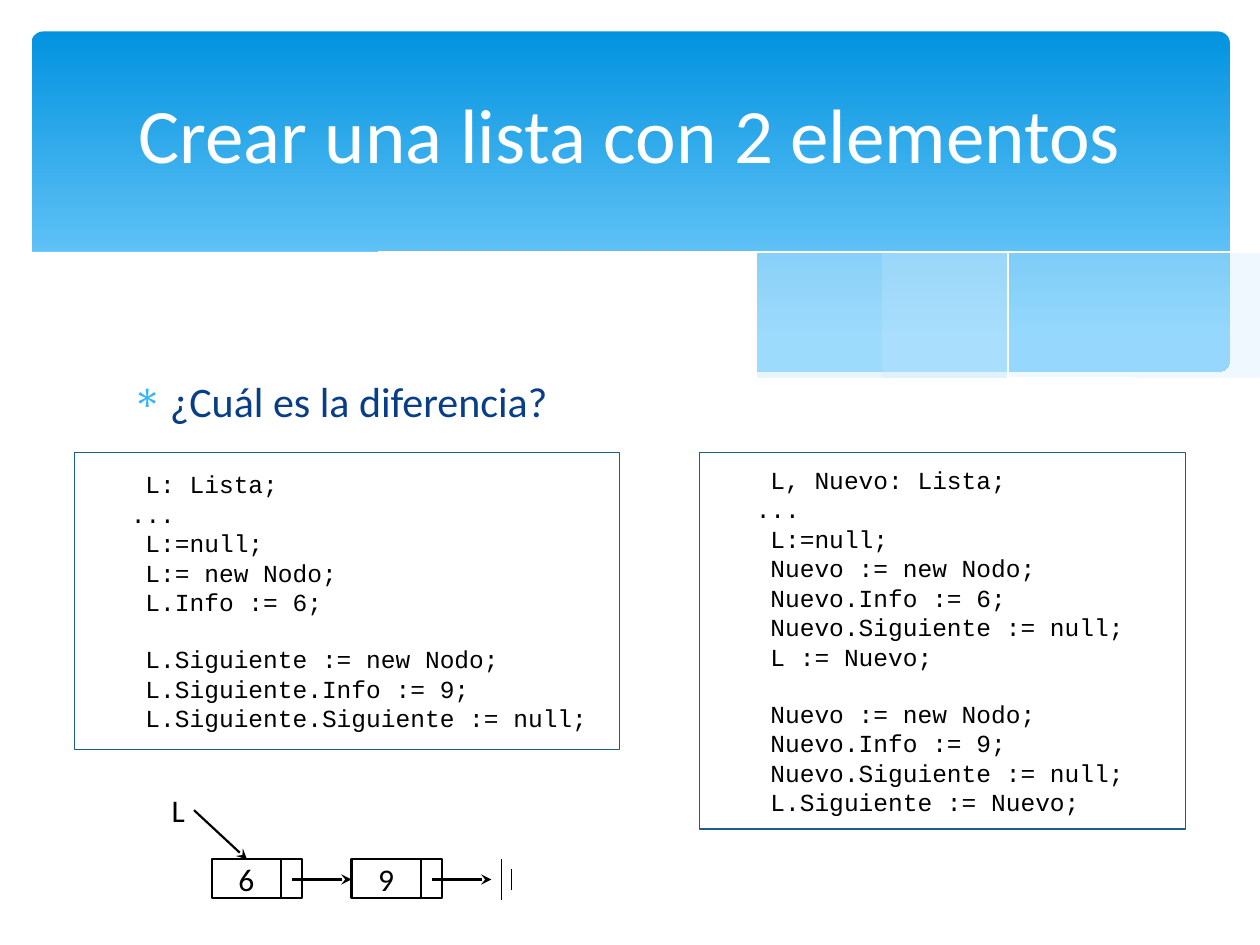
from lxml.etree import SubElement
from pptx import Presentation
from pptx.dml.color import RGBColor
from pptx.enum.shapes import MSO_CONNECTOR, MSO_SHAPE
from pptx.enum.text import MSO_ANCHOR, PP_ALIGN
from pptx.oxml.ns import qn
from pptx.util import Inches, Pt

COLORS = {
    "white": "FFFFFF", "black": "000000", "frame": "1A5F84",
    "sky_top": "0293E0", "sky_bottom": "83D3FE", "wave": "C6E7FC",
    "bullet": "31B6FD", "body": "073E87",
}
BODY_FONT, CODE_FONT = "Calibri", "Courier New"
CODE_SIZE, CODE_LINE = 14, 15.9          # points
CODE_CHAR = CODE_SIZE * 0.6 / 72         # width of one character, inches

# Wave outlines: the curved edges, in inches
RIGHT_WAVE_TOP = [(9.76, 2), (9.35, 2.07), (8.91, 2.16), (8.32, 2.3),
                  (7.79, 2.42), (7.29, 2.53), (6.61, 2.65)]
RIGHT_WAVE_BOTTOM = [(6.61, 2.65), (7.05, 2.71), (7.57, 2.76), (8.03, 2.78),
                     (8.54, 2.76), (8.97, 2.7), (9.35, 2.62), (9.76, 2.47)]
LONG_WAVE_TOP = [(8.93, 2.73), (8.37, 2.65), (7.75, 2.54), (7.06, 2.4),
                 (6.29, 2.22), (5.69, 2.08), (5.14, 1.98), (4.65, 1.91),
                 (4.2, 1.87), (3.8, 1.85), (3.28, 1.87), (2.86, 1.91)]
LONG_WAVE_BOTTOM = [(2.86, 1.91), (3.42, 1.99), (4.04, 2.11), (4.91, 2.32),
                    (5.66, 2.48), (6.34, 2.61), (6.95, 2.7), (7.48, 2.76),
                    (8.07, 2.78), (8.57, 2.77), (8.93, 2.73)]
FALLING_LINE = [(3.09, 1.95), (3.44, 1.9), (4.01, 1.87), (4.69, 1.89),
                (5.33, 1.94), (6.08, 2.04), (6.95, 2.19), (7.95, 2.41),
                (9.07, 2.72)]
RISING_LINE = [(6.13, 2.57), (6.72, 2.41), (7.48, 2.23), (8.36, 2.04),
               (8.95, 1.94), (9.38, 1.88), (9.75, 1.85)]
FRONT_WAVE = [(0.23, 2.13), (0.52, 2.01), (0.95, 1.91), (1.46, 1.85),
              (1.93, 1.84), (2.5, 1.86), (3.16, 1.94), (3.91, 2.07),
              (4.47, 2.2), (5.29, 2.39), (6.03, 2.54), (6.68, 2.65),
              (7.26, 2.72), (7.78, 2.76), (8.23, 2.77), (8.75, 2.73),
              (9.2, 2.65), (9.5, 2.56), (9.77, 2.46)]

# Code lines as (indent in characters, blank lines before, text)
DIRECT_CODE = [
    (4, 0, "L: Lista;"), (3, 0, "..."), (4, 0, "L:=null;"),
    (4, 0, "L:= new Nodo;"), (4, 0, "L.Info := 6;"),
    (4, 1, "L.Siguiente := new Nodo;"), (4, 0, "L.Siguiente.Info := 9;"),
    (4, 0, "L.Siguiente.Siguiente := null;"),
]
HELPER_CODE = [
    (4, 0, "L, Nuevo: Lista;"), (3, 0, "..."), (4, 0, "L:=null;"),
    (4, 0, "Nuevo := new Nodo;"), (4, 0, "Nuevo.Info := 6;"),
    (4, 0, "Nuevo.Siguiente := null;"), (4, 0, "L := Nuevo;"),
    (4, 1, "Nuevo := new Nodo;"), (4, 0, "Nuevo.Info := 9;"),
    (4, 0, "Nuevo.Siguiente := null;"), (4, 0, "L.Siguiente := Nuevo;"),
]


def color(name):
    return RGBColor.from_string(COLORS[name])


def smooth(points, steps=6):
    """Catmull-Rom curve through the points."""
    padded = [points[0], *points, points[-1]]
    curve = [points[0]]
    for a, b, c, d in zip(padded, padded[1:], padded[2:], padded[3:]):
        for step in range(1, steps + 1):
            t = step / steps
            curve.append(tuple(
                (2 * q + (r - p) * t + (2 * p - 5 * q + 4 * r - s) * t ** 2
                 + (3 * q - p - 3 * r + s) * t ** 3) / 2
                for p, q, r, s in zip(a, b, c, d)))
    return curve


def add_span(para, text, size, color_name, font=BODY_FONT):
    span = para.add_run()
    span.text = text
    span.font.size = Pt(size)
    span.font.name = font
    span.font.color.rgb = color(color_name)


def add_outline(page, points, fill=None, opacity=100, line=None):
    builder = page.shapes.build_freeform(*points[0], scale=Inches(1))
    builder.add_line_segments(points[1:], close=fill is not None)
    shape = builder.convert_to_shape()
    shape.shadow.inherit = False
    if fill:
        shape.fill.solid()
        shape.fill.fore_color.rgb = color(fill)
        tint = shape._element.spPr.find(qn("a:solidFill"))[0]
        SubElement(tint, qn("a:alpha"), val=str(opacity * 1000))
    else:
        shape.fill.background()
    if line:
        shape.line.color.rgb = color(line)
        shape.line.width = Pt(0)
    else:
        shape.line.fill.background()


def add_frame(page, left, top, width, height, line, weight):
    box = page.shapes.add_shape(MSO_SHAPE.RECTANGLE, Inches(left), Inches(top),
                                Inches(width), Inches(height))
    box.shadow.inherit = False
    box.fill.background()
    box.line.color.rgb = color(line)
    box.line.width = Pt(weight)
    box.text_frame.vertical_anchor = MSO_ANCHOR.MIDDLE
    return box


def add_code(page, left, top, width, height, lines):
    frame = add_frame(page, left, top, width, height, "frame", 0.75).text_frame
    for number, (indent, blanks, text) in enumerate(lines):
        para = frame.add_paragraph() if number else frame.paragraphs[0]
        para.alignment = PP_ALIGN.LEFT
        para.space_before = Pt(blanks * CODE_LINE)
        para._p.get_or_add_pPr().set("marL", str(Inches(indent * CODE_CHAR)))
        add_span(para, text, CODE_SIZE, "black", CODE_FONT)


def add_label(frame, text):
    frame.vertical_anchor = MSO_ANCHOR.MIDDLE
    frame.paragraphs[0].alignment = PP_ALIGN.CENTER
    add_span(frame.paragraphs[0], text, 18, "black")


def add_line(page, x1, y1, x2, y2, weight=1.25, arrow=True):
    line = page.shapes.add_connector(MSO_CONNECTOR.STRAIGHT, Inches(x1),
                                     Inches(y1), Inches(x2), Inches(y2))
    line.line.color.rgb = color("black")
    line.line.width = Pt(weight)
    if arrow:
        SubElement(line.line._get_or_add_ln(), qn("a:tailEnd"), type="stealth")
    SubElement(line._element.spPr, qn("a:effectLst"))


def add_node(page, left, value):
    """A list cell: value, link field and arrow to the next cell."""
    top, height = 6.82, 0.31
    value_box = add_frame(page, left, top, 0.55, height, "black", 1.25)
    add_label(value_box.text_frame, value)
    add_frame(page, left + 0.55, top, 0.17, height, "black", 1.25)
    add_line(page, left + 0.64, 6.98, left + 1.11, 6.98)


def add_banner(page):
    card = page.shapes.add_shape(MSO_SHAPE.ROUNDED_RECTANGLE, Inches(0.25),
                                 Inches(0.25), Inches(9.51), Inches(2.7))
    card.adjustments[0] = 0.034
    card.shadow.inherit = False
    card.line.fill.background()
    card.fill.gradient()
    card.fill.gradient_angle = 270
    stops = zip(card.fill.gradient_stops, (0, 0.9), ("sky_top", "sky_bottom"))
    for stop, position, name in stops:
        stop.position = position
        stop.color.rgb = color(name)
    add_outline(page, smooth(RIGHT_WAVE_TOP) + smooth(RIGHT_WAVE_BOTTOM), "wave", 29)
    add_outline(page, smooth(LONG_WAVE_TOP) + smooth(LONG_WAVE_BOTTOM), "wave", 40)
    for curve in (FALLING_LINE, RISING_LINE):
        add_outline(page, smooth(curve), line="white")
    add_outline(page, smooth(FRONT_WAVE) + [(9.77, 3.29), (0.23, 3.29)], "white")


def add_title(page, text):
    title = page.shapes.title
    title.left, title.top = Inches(0.5), Inches(0.37)
    title.width, title.height = Inches(9), Inches(1.37)
    title.text_frame.vertical_anchor = MSO_ANCHOR.MIDDLE
    para = title.text_frame.paragraphs[0]
    para.alignment = PP_ALIGN.CENTER
    add_span(para, text, 44, "white")
    title._element.getparent().append(title._element)  # in front of the banner


def add_question(page, text):
    box = page.shapes.add_textbox(Inches(0.95), Inches(2.93), Inches(8.1), Inches(0.6))
    box.text_frame.word_wrap = True
    para = box.text_frame.paragraphs[0]
    para.space_before = Pt(4.8)
    props = para._p.get_or_add_pPr()
    props.set("marL", str(Inches(0.3)))
    props.set("indent", str(Inches(-0.3)))
    bullet_color = SubElement(props, qn("a:buClr"))
    SubElement(bullet_color, qn("a:srgbClr"), val=COLORS["bullet"])
    SubElement(props, qn("a:buChar"), char="∗")
    add_span(para, text, 24, "body")


def add_list_diagram(page):
    for left, value in ((1.68, "6"), (2.79, "9")):
        add_node(page, left, value)
    # Head pointer
    add_line(page, 1.54, 6.43, 1.96, 6.82)
    head = page.shapes.add_textbox(Inches(1.14), Inches(6.27), Inches(0.55), Inches(0.31))
    head.text_frame.word_wrap = True
    add_label(head.text_frame, "L")
    # Null mark
    for x, half in ((3.98, 0.16), (4.06, 0.08)):
        add_line(page, x, 6.98 - half, x, 6.98 + half, 0.75, arrow=False)


def main():
    deck = Presentation()
    deck.slide_width, deck.slide_height = Inches(10), Inches(7.5)
    page = deck.slides.add_slide(deck.slide_layouts[5])
    add_banner(page)
    add_title(page, "Crear una lista con 2 elementos")
    add_question(page, "¿Cuál es la diferencia?")
    add_code(page, 0.59, 3.59, 4.33, 2.36, DIRECT_CODE)
    add_code(page, 5.55, 3.59, 3.86, 2.99, HELPER_CODE)
    add_list_diagram(page)
    deck.save("out.pptx")


if __name__ == "__main__":
    main()
